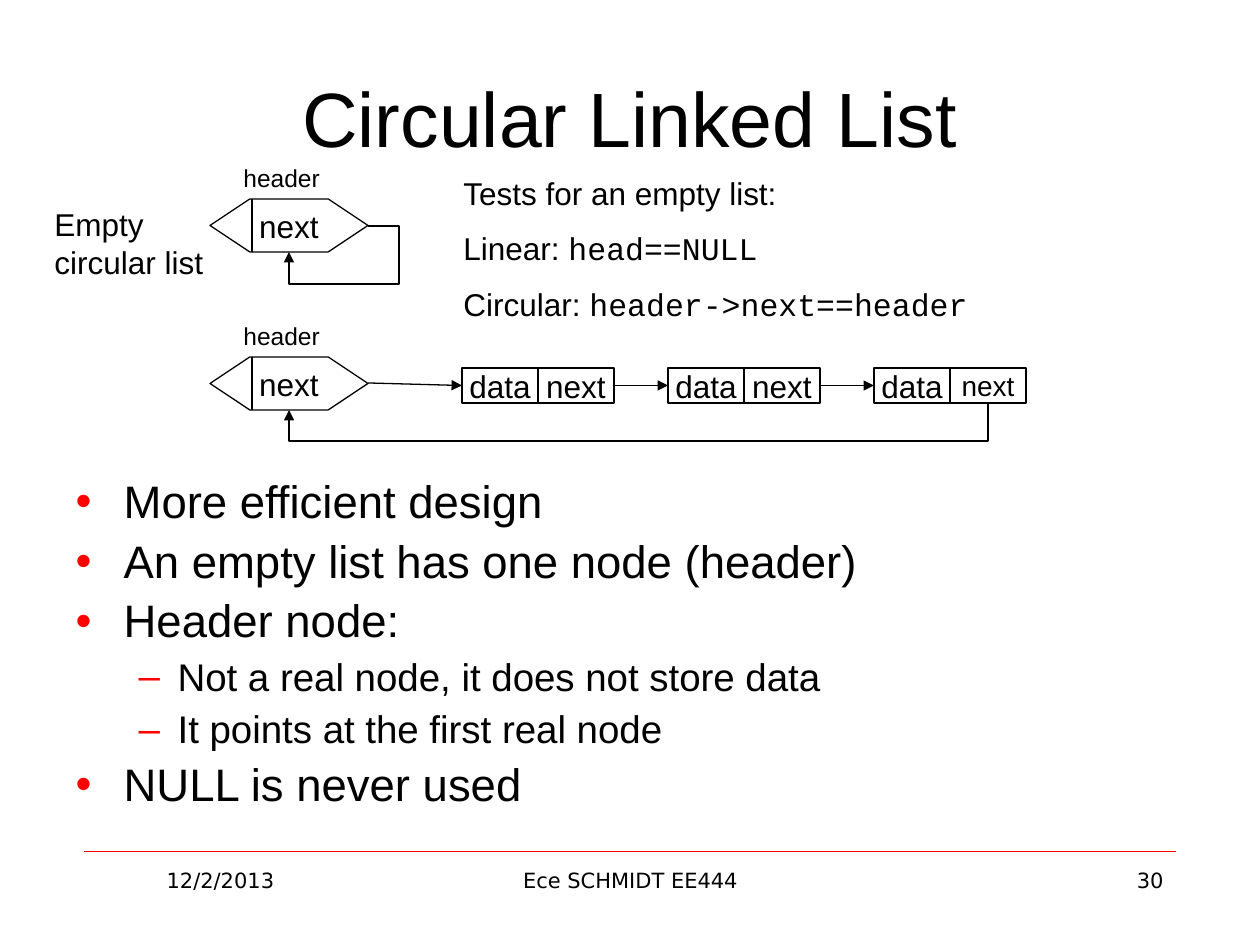
import lxml.etree
import pptx
import pptx.dml.color
import pptx.enum.shapes
import pptx.enum.text
import pptx.oxml.ns
import pptx.util

PX = pptx.util.Inches(1) / 126
COLORS = {"ink": "000000", "accent": "FF0000"}
SHAPE = pptx.enum.shapes.MSO_SHAPE
CONNECTOR = pptx.enum.shapes.MSO_CONNECTOR
ALIGN = pptx.enum.text.PP_ALIGN
ANCHOR = pptx.enum.text.MSO_ANCHOR
qn = pptx.oxml.ns.qn


def add_run(paragraph, text, size, font="Arial"):
    run = paragraph.add_run()
    run.text = text
    run.font.size = pptx.util.Pt(size)
    run.font.name = font
    run.font.color.rgb = pptx.dml.color.RGBColor.from_string(COLORS["ink"])


def add_line(points, arrow=True, kind=CONNECTOR.STRAIGHT, color="ink", width=0.75):
    """Add a shadowless connector; points are x1, y1, x2, y2 in px."""
    line = slide.shapes.add_connector(kind, *(round(value * PX) for value in points))
    line.line.color.rgb = pptx.dml.color.RGBColor.from_string(COLORS[color])
    line.line.width = pptx.util.Pt(width)
    if arrow:
        lxml.etree.SubElement(line.line._get_or_add_ln(), qn("a:tailEnd"), type="triangle")
    lxml.etree.SubElement(line._element.spPr, qn("a:effectLst"))
    return line


presentation = pptx.Presentation()
presentation.slide_width = round(1260 * PX)
presentation.slide_height = round(945 * PX)
slide = presentation.slides.add_slide(presentation.slide_layouts[1])

# Title and bullet list
title, body = slide.placeholders
for placeholder, box in ((title, (63, 38, 1134, 158)), (body, (63, 473, 1134, 372))):
    placeholder.left, placeholder.top, placeholder.width, placeholder.height = (
        round(value * PX) for value in box)
    placeholder.text_frame.auto_size = pptx.enum.text.MSO_AUTO_SIZE.NONE
title.text_frame.vertical_anchor = ANCHOR.MIDDLE
title.text_frame.paragraphs[0].alignment = ALIGN.CENTER
add_run(title.text_frame.paragraphs[0], "Circular Linked List", 44)

bullets = [
    (0, "More efficient design"),
    (0, "An empty list has one node (header)"),
    (0, "Header node:"),
    (1, "Not a real node, it does not store data"),
    (1, "It points at the first real node"),
    (0, "NULL is never used"),
]
bullet_styles = [(48, 48, "•", 26), (102, 39, "–", 22)]  # indent, hanging, mark, size
for index, (level, text) in enumerate(bullets):
    indent, hanging, mark, size = bullet_styles[level]
    paragraph = body.text_frame.add_paragraph() if index else body.text_frame.paragraphs[0]
    paragraph.level = level
    properties = paragraph._p.get_or_add_pPr()
    properties.set("marL", str(round(indent * PX)))
    properties.set("indent", str(round(-hanging * PX)))
    bullet_color = lxml.etree.SubElement(properties, qn("a:buClr"))
    lxml.etree.SubElement(bullet_color, qn("a:srgbClr"), val=COLORS["accent"])
    lxml.etree.SubElement(properties, qn("a:buChar"), char=mark)
    paragraph.line_spacing = 0.9
    paragraph.space_before = pptx.util.Pt(6 if index else 0)
    add_run(paragraph, text, size)

# Header nodes: a hexagon with a dividing line
HEADER_LEFT, HEADER_WIDTH, HEADER_HEIGHT = 210, 158, 53
HEADER_RIGHT = HEADER_LEFT + HEADER_WIDTH
HEADER_CENTER = HEADER_LEFT + HEADER_WIDTH // 2
EMPTY_TOP, FILLED_TOP = 199, 357
nodes = []
for top in (EMPTY_TOP, FILLED_TOP):
    hexagon = slide.shapes.add_shape(SHAPE.HEXAGON, *(
        round(value * PX) for value in (HEADER_LEFT, top, HEADER_WIDTH, HEADER_HEIGHT)))
    hexagon.adjustments[0] = 0.75
    nodes.append((hexagon, "next", 18))
    add_line((252, top, 252, top + HEADER_HEIGHT), arrow=False)

# Data nodes: pairs of cells at an equal pitch
CELL_WIDTH, CELL_HEIGHT, CELL_TOP, FIRST_LEFT, PITCH = 76, 35, 368, 462, 206
pairs = []
for index in range(3):
    group = slide.shapes.add_group_shape()
    pair = []
    for column, text in enumerate(("data", "next")):
        left = FIRST_LEFT + index * PITCH + column * CELL_WIDTH
        cell = group.shapes.add_shape(SHAPE.RECTANGLE, *(
            round(value * PX) for value in (left, CELL_TOP, CELL_WIDTH, CELL_HEIGHT)))
        pair.append(cell)
        nodes.append((cell, text, 16 if (index, column) == (2, 1) else 18))
    pairs.append(pair)

for shape, text, size in nodes:
    shape.shadow.inherit = False
    shape.fill.background()
    shape.line.color.rgb = pptx.dml.color.RGBColor.from_string(COLORS["ink"])
    shape.line.width = pptx.util.Pt(0.75)
    shape.text_frame.word_wrap = False
    shape.text_frame.vertical_anchor = ANCHOR.MIDDLE
    shape.text_frame.paragraphs[0].alignment = ALIGN.CENTER
    add_run(shape.text_frame.paragraphs[0], text, size)

# Straight arrows into each data node
middle = CELL_TOP + CELL_HEIGHT // 2
for index, (data_cell, next_cell) in enumerate(pairs):
    left = FIRST_LEFT + index * PITCH
    if index == 0:
        arrow = add_line((HEADER_RIGHT, 383, left, middle))
    else:
        arrow = add_line((left - PITCH + 2 * CELL_WIDTH, middle, left, middle))
        arrow.begin_connect(pairs[index - 1][1], 3)
    arrow.end_connect(data_cell, 1)

# Return arrows bent back to the header nodes
empty_middle, empty_bottom = 226, EMPTY_TOP + HEADER_HEIGHT
empty_loop = add_line((HEADER_RIGHT, empty_middle, HEADER_CENTER, empty_bottom),
                      kind=CONNECTOR.ELBOW)
empty_bends = [(HEADER_RIGHT - 399) / (HEADER_RIGHT - HEADER_CENTER),
               (284 - empty_middle) / (empty_bottom - empty_middle)]

last_center, cell_bottom = 988, CELL_TOP + CELL_HEIGHT
drop, span = FILLED_TOP + HEADER_HEIGHT - cell_bottom, last_center - HEADER_CENTER
loop_left = (last_center + HEADER_CENTER - drop) / 2
loop_top = cell_bottom + (drop - span) / 2
list_loop = add_line((loop_left, loop_top, loop_left + drop, loop_top + span),
                     kind=CONNECTOR.ELBOW)
list_loop._element.spPr.find(qn("a:xfrm")).set("rot", "5400000")

for loop, preset, bends in ((empty_loop, "bentConnector4", empty_bends),
                            (list_loop, "bentConnector3", [(441 - cell_bottom) / drop])):
    geometry = loop._element.spPr.find(qn("a:prstGeom"))
    geometry.set("prst", preset)
    guides = geometry.find(qn("a:avLst"))
    for number, bend in enumerate(bends, 1):
        name = f"adj{number}"
        lxml.etree.SubElement(guides, qn("a:gd"), name=name, fmla=f"val {round(bend * 100000)}")

# Labels, notes and footer: box, size, alignment, paragraphs of (text, font) runs
ARIAL, CODE, FOOTER = "Arial", "Courier New", "DejaVu Sans"
labels = [
    ((231, EMPTY_TOP - 42, 120, 42), 14, ALIGN.LEFT, [[("header", ARIAL)]]),
    ((231, FILLED_TOP - 42, 120, 42), 14, ALIGN.LEFT, [[("header", ARIAL)]]),
    ((42, 199, 179, 88), 18, ALIGN.LEFT, [[("Empty circular list", ARIAL)]]),
    ((451, 168, 672, 164), 18, ALIGN.LEFT, [
        [("Tests for an empty list:", ARIAL)],
        [("Linear: ", ARIAL), ("head==NULL", CODE)],
        [("Circular: ", ARIAL), ("header->next==header", CODE)],
    ]),
    ((84, 861, 273, 66), 12, ALIGN.CENTER, [[("12/2/2013", FOOTER)]]),
    ((431, 861, 399, 66), 12, ALIGN.CENTER, [[("Ece SCHMIDT EE444", FOOTER)]]),
    ((903, 861, 273, 66), 12, ALIGN.RIGHT, [[("30", FOOTER)]]),
]
for box, size, alignment, paragraphs in labels:
    frame = slide.shapes.add_textbox(*(round(value * PX) for value in box)).text_frame
    frame.word_wrap = True
    for index, runs in enumerate(paragraphs):
        paragraph = frame.add_paragraph() if index else frame.paragraphs[0]
        paragraph.alignment = alignment
        if index:
            paragraph.space_before = pptx.util.Pt(10)
        for text, font in runs:
            add_run(paragraph, text, size, font)

add_line((84, 851, 1176, 851), arrow=False, color="accent", width=0.25)

presentation.save("out.pptx")
